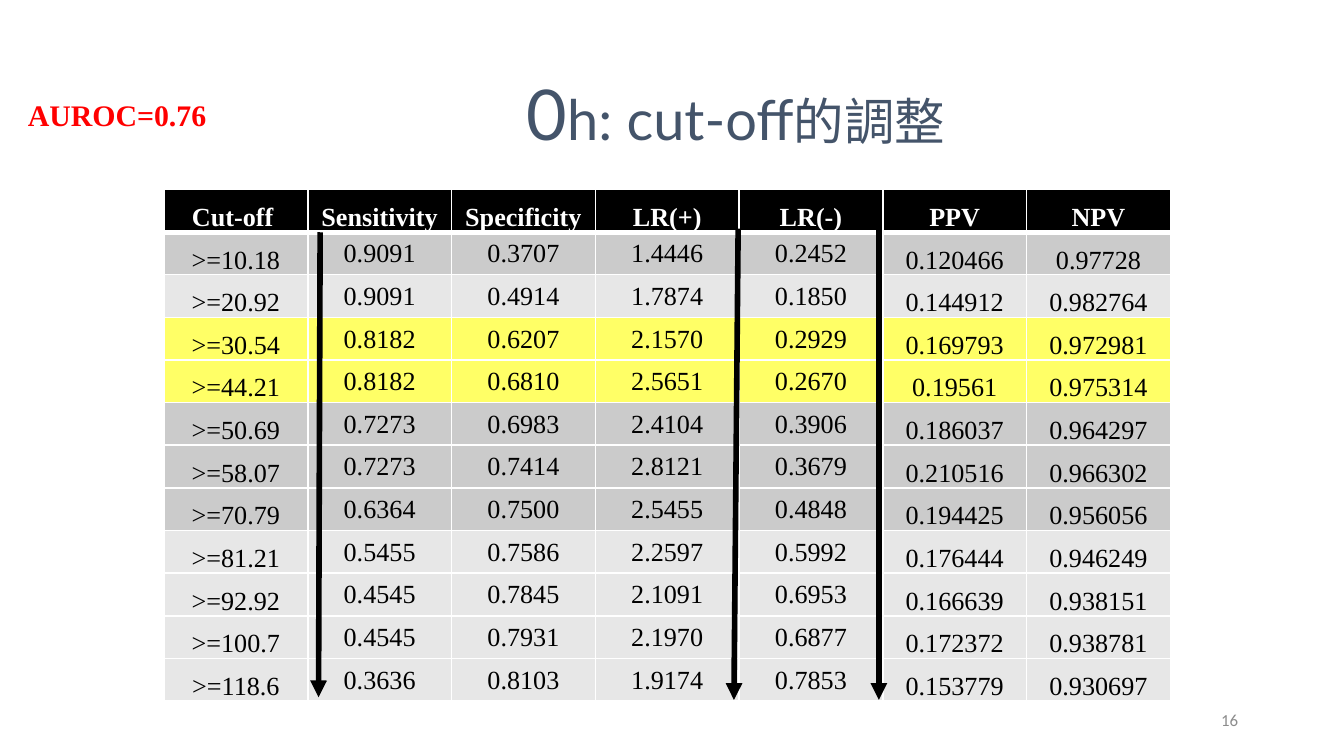
from collections import namedtuple
from dataclasses import dataclass

from lxml import etree
from pptx import Presentation
from pptx.dml.color import RGBColor
from pptx.enum.shapes import MSO_CONNECTOR
from pptx.enum.text import MSO_ANCHOR, MSO_AUTO_SIZE, PP_ALIGN
from pptx.oxml.ns import qn
from pptx.util import Cm, Pt

LEFT, CENTER, RIGHT = PP_ALIGN.LEFT, PP_ALIGN.CENTER, PP_ALIGN.RIGHT
TOP, MIDDLE, BOTTOM = MSO_ANCHOR.TOP, MSO_ANCHOR.MIDDLE, MSO_ANCHOR.BOTTOM
NO_FIT, GROW = MSO_AUTO_SIZE.NONE, MSO_AUTO_SIZE.SHAPE_TO_FIT_TEXT
STRAIGHT = MSO_CONNECTOR.STRAIGHT

Box = namedtuple("Box", "left top width height")


@dataclass(frozen=True)
class Theme:
    """Colours, fonts and type sizes of the slide."""
    ink: str = "000000"
    paper: str = "FFFFFF"
    heading: str = "44546A"
    accent: str = "FF0000"
    muted: str = "8C8C8C"
    dark_band: str = "CBCBCB"
    light_band: str = "E7E7E7"
    highlight: str = "FFFF66"
    heading_font: str = "Lato"
    data_font: str = "Times New Roman"
    number_font: str = "Calibri"
    hour_size: float = 37.5
    heading_size: float = 30
    heading_cjk_size: float = 27
    score_size: float = 16
    data_size: float = 14
    number_size: float = 9
    border: float = 1
    heavy: float = 3


THEME = Theme()

HEADER = ("Cut-off ", "Sensitivity", "Specificity", "LR(+)", "LR(-)", "PPV", "NPV")
RESULTS = (
    (">=10.18", "0.9091", "0.3707", "1.4446", "0.2452", "0.120466", "0.97728"),
    (">=20.92", "0.9091", "0.4914", "1.7874", "0.1850", "0.144912", "0.982764"),
    (">=30.54", "0.8182", "0.6207", "2.1570", "0.2929", "0.169793", "0.972981"),
    (">=44.21", "0.8182", "0.6810", "2.5651", "0.2670", "0.19561", "0.975314"),
    (">=50.69", "0.7273", "0.6983", "2.4104", "0.3906", "0.186037", "0.964297"),
    (">=58.07", "0.7273", "0.7414", "2.8121", "0.3679", "0.210516", "0.966302"),
    (">=70.79", "0.6364", "0.7500", "2.5455", "0.4848", "0.194425", "0.956056"),
    (">=81.21", "0.5455", "0.7586", "2.2597", "0.5992", "0.176444", "0.946249"),
    (">=92.92", "0.4545", "0.7845", "2.1091", "0.6953", "0.166639", "0.938151"),
    (">=100.7", "0.4545", "0.7931", "2.1970", "0.6877", "0.172372", "0.938781"),
    (">=118.6", "0.3636", "0.8103", "1.9174", "0.7853", "0.153779", "0.930697"),
)
ROW_FILLS = (
    [THEME.ink, THEME.dark_band, THEME.light_band]
    + [THEME.highlight] * 2 + [THEME.dark_band] * 3 + [THEME.light_band] * 4
)
MIDDLE_COLUMNS = range(1, 5)
TRENDS = (
    ((2.95, 0.81), (2.92, 9.6)),
    ((10.85, 0.74), (10.77, 9.65)),
    ((13.51, 0.76), (13.51, 9.65)),
)


def write(frame, text, *, font, size, color, bold=False, align=LEFT):
    """Append a formatted run to the first paragraph of a text frame."""
    paragraph = frame.paragraphs[0]
    paragraph.alignment = align
    run = paragraph.add_run()
    run.text = text
    run.font.name = font
    run.font.size = Pt(size)
    run.font.bold = bold
    run.font.color.rgb = RGBColor.from_string(color)


def place_title(slide, box):
    """Place the title with its enlarged hour figure."""
    title = slide.shapes.title
    title.left, title.top, title.width, title.height = map(Cm, box)
    frame = title.text_frame
    frame.auto_size = NO_FIT
    frame.vertical_anchor = MIDDLE
    for text, size in (("0", THEME.hour_size), ("h: cut-off", THEME.heading_size),
                       ("的調整", THEME.heading_cjk_size)):
        write(frame, text, font=THEME.heading_font, size=size,
              color=THEME.heading, align=CENTER)


def place_label(slide, box, text, *, anchor=TOP, fit=NO_FIT, **style):
    """Place a single line of text in a box."""
    frame = slide.shapes.add_textbox(*map(Cm, box)).text_frame
    frame.word_wrap = True
    frame.auto_size = fit
    frame.vertical_anchor = anchor
    write(frame, text, **style)


def set_borders(cell, top, bottom):
    """Draw white borders round a cell, with the given top and bottom weights."""
    properties = cell._tc.get_or_add_tcPr()
    weights = (("a:lnL", THEME.border), ("a:lnR", THEME.border),
               ("a:lnT", top), ("a:lnB", bottom))
    for position, (tag, weight) in enumerate(weights):
        line = etree.Element(qn(tag), w=str(Pt(weight)))
        fill = etree.SubElement(line, qn("a:solidFill"))
        etree.SubElement(fill, qn("a:srgbClr"), val=THEME.paper)
        properties.insert(position, line)


def fill_cell(cell, text, row, column):
    """Fill and format one cell of the results table."""
    header = row == 0
    cell.fill.solid()
    cell.fill.fore_color.rgb = RGBColor.from_string(ROW_FILLS[row])
    cell.margin_left = cell.margin_right = cell.margin_top = Cm(0.02)
    cell.margin_bottom = 0
    centred = not header and column in MIDDLE_COLUMNS
    cell.vertical_anchor = MIDDLE if centred else BOTTOM
    write(cell.text_frame, text, font=THEME.data_font, size=THEME.data_size,
          color=THEME.paper if header else THEME.ink, bold=header, align=CENTER)
    set_borders(cell, THEME.heavy if row == 1 else THEME.border,
                THEME.heavy if header else THEME.border)


def place_results(slide, box):
    """Place the cut-off table in equal rows and columns."""
    rows = (HEADER, *RESULTS)
    table = slide.shapes.add_table(len(rows), len(HEADER), *map(Cm, box)).table
    table.horz_banding = False
    for column in table.columns:
        column.width = Cm(box.width / len(HEADER))
    for row, values in enumerate(rows):
        table.rows[row].height = Cm(box.height / len(rows))
        for column, text in enumerate(values):
            fill_cell(table.cell(row, column), text, row, column)


def place_trends(slide, box):
    """Place the downward trend arrows over the table box."""
    for start, end in TRENDS:
        points = [Cm(origin + offset) for point in (start, end)
                  for origin, offset in zip((box.left, box.top), point)]
        arrow = slide.shapes.add_connector(STRAIGHT, *points)
        arrow.line.color.rgb = RGBColor.from_string(THEME.ink)
        arrow.line.width = Pt(THEME.heavy)
        etree.SubElement(arrow.line._get_or_add_ln(), qn("a:tailEnd"), type="triangle")
        etree.SubElement(arrow._element.spPr, qn("a:effectLst"))


def build_cutoff_slide(deck):
    """Build the slide of cut-off values and their test performance."""
    slide = deck.slides.add_slide(deck.slide_layouts[5])
    results_box = Box(3.1, 3.58, 19.02, 9.68)
    place_label(slide, Box(17.93, 13.23, 5.72, 0.76), "16", anchor=MIDDLE,
                font=THEME.number_font, size=THEME.number_size,
                color=THEME.muted, align=RIGHT)
    place_results(slide, results_box)
    place_trends(slide, results_box)
    place_title(slide, Box(5.69, 0.74, 16.43, 2.77))
    place_label(slide, Box(0.28, 1.7, 4.17, 0.94), "AUROC=0.76", fit=GROW,
                font=THEME.data_font, size=THEME.score_size,
                color=THEME.accent, bold=True)


def main():
    """Create and save the deck."""
    deck = Presentation()
    deck.slide_width, deck.slide_height = Cm(25.4), Cm(14.29)
    build_cutoff_slide(deck)
    deck.save("out.pptx")


if __name__ == "__main__":
    main()
